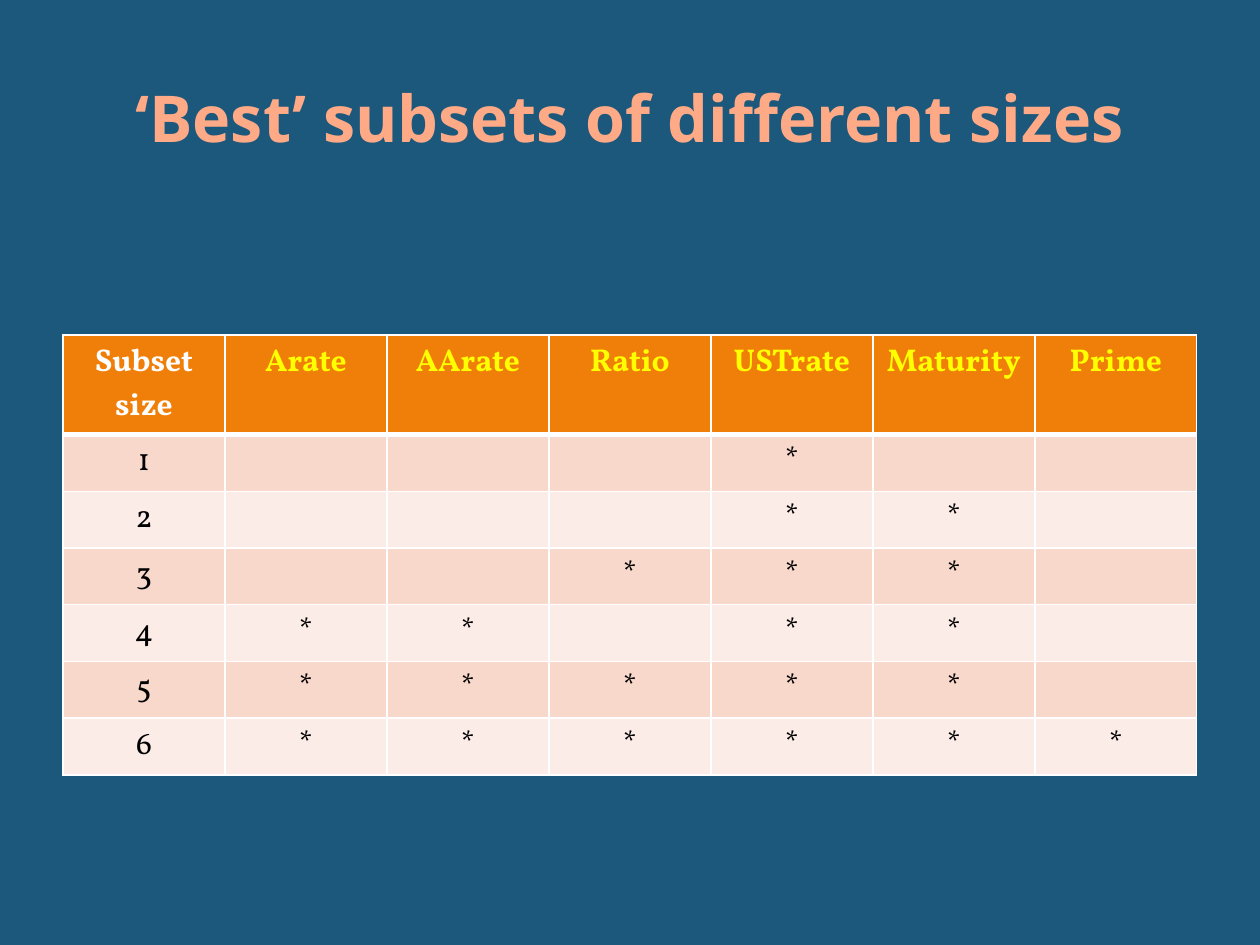
import pptx
import pptx.dml.color
import pptx.enum.text
import pptx.oxml.ns
import pptx.util
from lxml import etree

Inches = pptx.util.Inches
Pt = pptx.util.Pt


def rgb(value):
    return pptx.dml.color.RGBColor.from_string(value)


class SlideBuilder:
    BACKGROUND = "1B587C"
    TITLE_FONT, TITLE_COLOR = "Noto Sans", "FFAA86"
    TABLE_FONT, TABLE_SIZE = "Vollkorn", 18
    HEADER_FILL, BANDS = "F07F09", ("F9D8CC", "FCECE7")
    WHITE, YELLOW, BLACK = "FFFFFF", "FFFF00", "000000"

    def __init__(self, prs):
        self.s = prs.slides.add_slide(prs.slide_layouts[6])
        fill = self.s.background.fill
        fill.solid()
        fill.fore_color.rgb = rgb(self.BACKGROUND)

    def set_text(self, tf, text, font, size, color, bold):
        p = tf.paragraphs[0]
        p.text = text
        p.alignment = pptx.enum.text.PP_ALIGN.CENTER
        p.font.name = font
        p.font.size = Pt(size)
        p.font.bold = bold
        p.font.color.rgb = rgb(color)

    def title(self, text, left, top, width, height):
        sp = self.s.shapes.add_textbox(
            Inches(left), Inches(top), Inches(width), Inches(height))
        tf = sp.text_frame
        tf.word_wrap = True
        tf.vertical_anchor = pptx.enum.text.MSO_ANCHOR.MIDDLE
        self.set_text(tf, text, self.TITLE_FONT, 36.9, self.TITLE_COLOR, True)

    def border(self, cell, side, width):
        qn = pptx.oxml.ns.qn
        ln = etree.SubElement(cell._tc.get_or_add_tcPr(), qn(f"a:ln{side}"),
                              w=str(Pt(width)))
        fill = etree.SubElement(ln, qn("a:solidFill"))
        etree.SubElement(fill, qn("a:srgbClr"), val=self.WHITE)

    def cell(self, cell, text, row, col):
        # Borders come before the fill in the cell properties
        widths = {"L": 1, "R": 1, "T": 3 if row == 1 else 1,
                  "B": 3 if row == 0 else 1}
        for side, width in widths.items():
            self.border(cell, side, width)
        header = row == 0
        cell.fill.solid()
        cell.fill.fore_color.rgb = rgb(
            self.HEADER_FILL if header else self.BANDS[(row - 1) % 2])
        color = self.BLACK
        if header:
            color = self.YELLOW if col else self.WHITE
        self.set_text(cell.text_frame, text, self.TABLE_FONT, self.TABLE_SIZE,
                      color, header)

    def table(self, rows, left, top, width, header_height, row_height):
        height = header_height + row_height * (len(rows) - 1)
        table = self.s.shapes.add_table(
            len(rows), len(rows[0]), Inches(left), Inches(top),
            Inches(width), Inches(height)).table
        for i, row in enumerate(rows):
            table.rows[i].height = Inches(row_height if i else header_height)
            for j, text in enumerate(row):
                self.cell(table.cell(i, j), text, i, j)


def main():
    prs = pptx.Presentation()
    prs.slide_width, prs.slide_height = Inches(10), Inches(7.5)
    slide = SlideBuilder(prs)

    # Title
    slide.title("‘Best’ subsets of different sizes", 0.5, 0.3, 9, 1.25)

    # Table: the variables chosen at each subset size
    variables = ["Arate", "AArate", "Ratio", "USTrate", "Maturity", "Prime"]
    subsets = [
        ["USTrate"],
        ["USTrate", "Maturity"],
        ["Ratio", "USTrate", "Maturity"],
        ["Arate", "AArate", "USTrate", "Maturity"],
        ["Arate", "AArate", "Ratio", "USTrate", "Maturity"],
        variables,
    ]
    rows = [["Subset size"] + variables]
    for subset in subsets:
        marks = ["*" if name in subset else "" for name in variables]
        rows.append([str(len(subset))] + marks)
    slide.table(rows, 0.5, 2.66, 9, 0.79, 0.45)

    prs.save("out.pptx")


if __name__ == "__main__":
    main()
